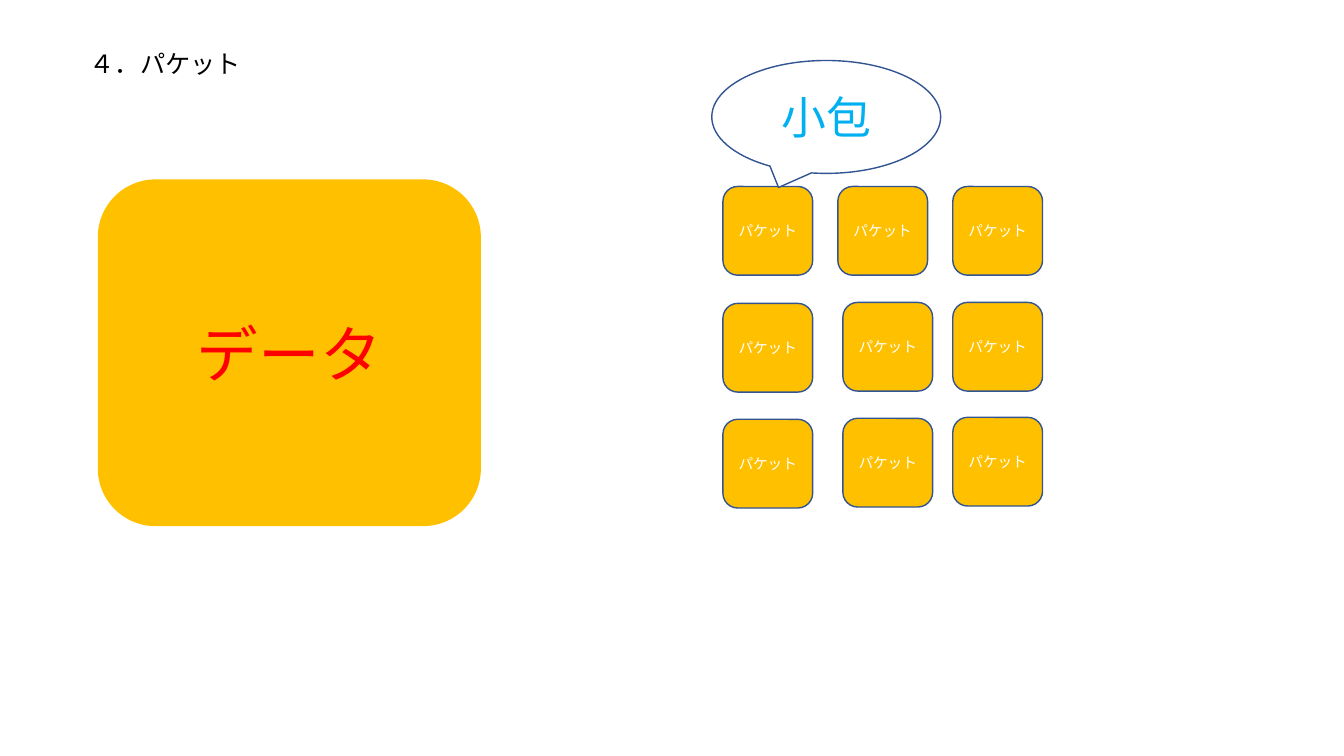
from pptx import Presentation
from pptx.dml.color import RGBColor
from pptx.enum.shapes import MSO_SHAPE
from pptx.enum.text import MSO_ANCHOR, PP_ALIGN
from pptx.util import Inches, Pt

COLORS = {"amber": "FFC000", "outline": "325491", "white": "FFFFFF",
          "black": "000000", "red": "FF0000", "sky": "00B0F0"}
TITLE = "４．パケット"
DATA = "データ"
PACKET = "パケット"
PARCEL = "小包"
PACKET_SIZE = (0.89, 0.88)
PACKET_ROWS = [
    [(7.17, 1.85), (8.31, 1.85), (9.45, 1.85)],
    [(7.17, 3.01), (8.36, 3.00), (9.45, 3.00)],
    [(7.17, 4.16), (8.36, 4.15), (9.45, 4.14)],
]


def add_text(shape, text, size, color, font="Calibri"):
    """Write one run of styled text into a shape."""
    shape.text_frame.word_wrap = True
    paragraph = shape.text_frame.paragraphs[0]
    run = paragraph.add_run()
    run.text = text
    run.font.size = Pt(size)
    run.font.name = font
    run.font.color.rgb = RGBColor.from_string(COLORS[color])
    return paragraph


def add_box(shapes, preset, box, fill, outlined, text, size, color, font="Calibri"):
    """Add a filled shape with centred text."""
    shape = shapes.add_shape(preset, *map(Inches, box))
    shape.shadow.inherit = False
    shape.fill.solid()
    shape.fill.fore_color.rgb = RGBColor.from_string(COLORS[fill])
    if outlined:
        shape.line.color.rgb = RGBColor.from_string(COLORS["outline"])
        shape.line.width = Pt(1)
    else:
        shape.line.fill.background()
    shape.text_frame.vertical_anchor = MSO_ANCHOR.MIDDLE
    add_text(shape, text, size, color, font).alignment = PP_ALIGN.CENTER


def main():
    """Build the packet slide."""
    presentation = Presentation()
    presentation.slide_width = Inches(13.33)
    presentation.slide_height = Inches(7.5)
    slide = presentation.slides.add_slide(presentation.slide_layouts[6])

    title = slide.shapes.add_textbox(Inches(0.79), Inches(0.43), Inches(4.69), Inches(0.4))
    add_text(title, TITLE, 18, "black")
    add_box(slide.shapes, MSO_SHAPE.ROUNDED_RECTANGLE, (0.97, 1.78, 3.8, 3.44),
            "amber", False, DATA, 44, "red")

    packets = slide.shapes.add_group_shape()
    for row in PACKET_ROWS:
        for position in row:
            add_box(packets.shapes, MSO_SHAPE.ROUNDED_RECTANGLE, position + PACKET_SIZE,
                    "amber", True, PACKET, 10.5, "white")

    add_box(slide.shapes, MSO_SHAPE.OVAL_CALLOUT, (7.06, 0.6, 2.27, 1.12),
            "white", True, PARCEL, 32, "sky", "Arial")
    presentation.save("out.pptx")


if __name__ == "__main__":
    main()
